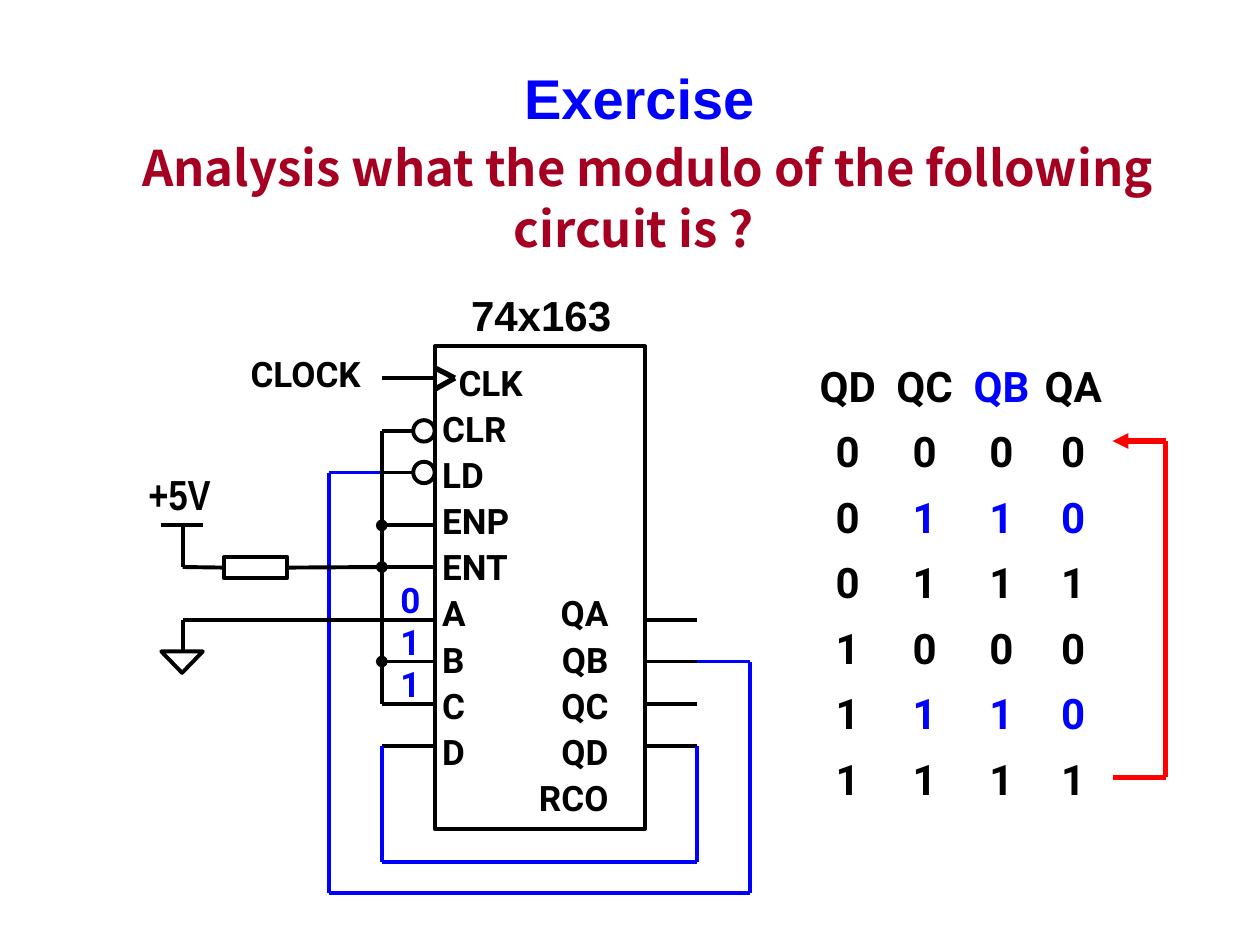
from copy import deepcopy
from dataclasses import dataclass
from itertools import pairwise

from lxml.etree import SubElement
from pptx import Presentation
from pptx.dml.color import RGBColor as RGB
from pptx.enum.shapes import MSO_CONNECTOR as Link, MSO_SHAPE as Preset
from pptx.enum.text import MSO_ANCHOR as Anchor, MSO_AUTO_SIZE as AutoSize, PP_ALIGN as Align
from pptx.oxml.ns import qn
from pptx.util import Inches, Pt


@dataclass(frozen=True)
class Theme:
    ink: RGB = RGB(0, 0, 0)
    blue: RGB = RGB(0, 0, 255)
    red: RGB = RGB(255, 0, 0)
    crimson: RGB = RGB(0xA5, 0x00, 0x21)
    sans: str = "Arial"
    narrow: str = "Arial Narrow"
    label: str = "Roboto"
    question: str = "Noto Sans CJK JP"
    title_size: int = 32
    question_size: int = 28
    large: int = 24
    small: int = 20
    thin: float = 2.25
    thick: float = 3


THEME = Theme()


@dataclass(frozen=True)
class Wire:
    """A run of straight segments, with an optional end mark on the last."""
    points: tuple
    color: RGB = THEME.ink
    width: float = THEME.thin
    end: str = ""


@dataclass(frozen=True)
class Label:
    box: tuple
    lines: tuple
    size: int
    font: str = THEME.label
    color: RGB = THEME.ink


def add_run(paragraph, text: str, size: int, font: str, color: RGB):
    run = paragraph.add_run()
    run.text = text
    run.font.size, run.font.name, run.font.bold = Pt(size), font, True
    run.font.color.rgb = color
    return run


def add_line(frame, index: int):
    return frame.paragraphs[0] if index == 0 else frame.add_paragraph()


def add_tabs(paragraph, stops: tuple, align: str) -> None:
    tabs = SubElement(paragraph._p.get_or_add_pPr(), qn("a:tabLst"))
    for stop in stops:
        SubElement(tabs, qn("a:tab"), pos=str(Inches(stop)), algn=align)


def draw_outline(slide, preset, box: tuple):
    outline = slide.shapes.add_shape(preset, *map(Inches, box))
    outline.shadow.inherit = False
    outline.fill.background()
    outline.line.color.rgb, outline.line.width = THEME.ink, Pt(THEME.thin)
    return outline


def draw_wire(slide, wire: Wire) -> list:
    segments = []
    for start, stop in pairwise(wire.points):
        segment = slide.shapes.add_connector(Link.STRAIGHT, *map(Inches, start + stop))
        segment.line.color.rgb, segment.line.width = wire.color, Pt(wire.width)
        segments.append(segment)
    if wire.end:
        SubElement(segments[-1].line._get_or_add_ln(), qn("a:tailEnd"), type=wire.end)
    for segment in segments:
        SubElement(segment._element.spPr, qn("a:effectLst"))
    return segments


def draw_label(slide, label: Label) -> None:
    frame = slide.shapes.add_textbox(*map(Inches, label.box)).text_frame
    frame.word_wrap = False
    for index, text in enumerate(label.lines):
        add_run(add_line(frame, index), text, label.size, label.font, label.color)


def write_title(slide) -> None:
    title = slide.shapes.title
    title.left, title.top, title.width, title.height = map(Inches, (0.43, 0.99, 9.29, 1.1))
    frame = title.text_frame
    frame.word_wrap, frame.auto_size = True, AutoSize.NONE
    frame.vertical_anchor = Anchor.BOTTOM
    heading = frame.paragraphs[0]
    heading.alignment = Align.CENTER
    first = add_run(heading, "Exercise", THEME.title_size, THEME.sans, THEME.blue)
    heading.add_line_break()
    # The break takes the type size of the word before it
    heading._p.findall(qn("a:br"))[0].append(deepcopy(first._r.rPr))
    add_run(heading, " ", THEME.title_size, THEME.sans, THEME.blue)
    add_run(heading, "Analysis what the modulo of the following circuit is ? ",
            THEME.question_size, THEME.question, THEME.crimson)


def draw_chip(slide) -> None:
    frame = draw_outline(slide, Preset.RECTANGLE, (3.45, 2.75, 1.67, 3.83)).text_frame
    frame.word_wrap, frame.vertical_anchor = True, Anchor.MIDDLE
    frame.margin_left = Inches(0.06)
    pins = ("CLK", "CLR", "LD", "ENP", "ENT", "A\tQA", "B\tQB", "C\tQC", "D\tQD", "\tRCO")
    for index, pin in enumerate(pins):
        row = add_line(frame, index)
        add_tabs(row, (1.32,), "r")
        row.alignment, row.line_spacing = Align.LEFT, 1.1
        if pin == "CLK":
            row._p.get_or_add_pPr().set("marL", str(Inches(0.13)))
        add_run(row, pin, THEME.small, THEME.label, THEME.ink)


def write_states(slide) -> None:
    """Counting sequence; loaded values are blue."""
    loaded = {1, 2, 3}
    rows = ((("QD", "QC", "QB", "QA"), {2}), ("0000", set()), ("0110", loaded),
            ("0111", set()), ("1000", set()), ("1110", loaded), ("1111", set()))
    frame = slide.shapes.add_textbox(*map(Inches, (6.26, 2.69, 2.74, 3.73))).text_frame
    frame.word_wrap = True
    for index, (cells, blue_columns) in enumerate(rows):
        row = add_line(frame, index)
        add_tabs(row, (0.37, 0.98, 1.59, 2.16), "ctr")
        row.line_spacing = 1.3
        for column, cell in enumerate(cells):
            color = THEME.blue if column in blue_columns else THEME.ink
            add_run(row, "\t" + cell, THEME.large, THEME.label, color)


# Circuit grid
BUS, CHIP_LEFT, CHIP_RIGHT, OUT = 3.03, 3.45, 5.11, 5.53
SUPPLY, BUBBLE = 1.45, 0.17
CLK, CLR, LD, ENP, ENT = 3, 3.42, 3.75, 4.17, 4.5
A, B, C, D = DATA_PINS = (4.92, 5.25, 5.59, 5.92)

WIRES = (
    # Pin leads
    *(Wire(((BUS, y), (CHIP_LEFT - BUBBLE, y))) for y in (CLR, LD)),
    *(Wire(((BUS, y), (CHIP_LEFT, y))) for y in (CLK, ENP, ENT, *DATA_PINS)),
    *(Wire(((CHIP_RIGHT, y), (OUT, y))) for y in DATA_PINS),
    # Clock edge mark
    Wire(((CHIP_LEFT, 2.92), (3.61, CLK), (CHIP_LEFT, 3.09)), width=THEME.thick),
    # Feedback from QD to D and from QB to LD
    Wire(((OUT, D), (OUT, 6.84), (BUS, 6.84), (BUS, D)), THEME.blue),
    Wire(((OUT, B), (5.95, B), (5.95, 7.09), (2.61, 7.09), (2.61, LD), (BUS, LD)), THEME.blue),
    # High bus with its junction dots
    *(Wire(((BUS, top), (BUS, bottom)), end="oval")
      for top, bottom in pairwise((CLR, ENP, ENT, B))),
    Wire(((BUS, B), (BUS, C))),
    # Supply bar and ground lead
    Wire(((1.28, ENP), (1.61, ENP))),
    Wire(((BUS, A), (SUPPLY, A), (SUPPLY, 5.17))),
    # Return to the first state
    Wire(((8.83, 6.17), (9.25, 6.17), (9.25, 3.5), (8.83, 3.5)), THEME.red, THEME.thick, "triangle"),
)

LABELS = (
    Label((3.64, 2.25, 1.32, 0.5), ("74x163",), THEME.large, THEME.sans),
    Label((3.08, 4.54, 0.38, 1.1), ("0", "1", "1"), THEME.small, color=THEME.blue),
    Label((1.08, 3.67, 0.7, 0.5), ("+5V",), THEME.large, THEME.narrow),
    Label((1.89, 2.75, 1.14, 0.43), ("CLOCK",), THEME.small),
)


def main() -> None:
    deck = Presentation()
    deck.slide_width, deck.slide_height = Inches(10), Inches(7.5)
    slide = deck.slides.add_slide(deck.slide_layouts[5])
    write_title(slide)

    # Chip with its inverted inputs
    draw_chip(slide)
    for y in (CLR, LD):
        draw_outline(slide, Preset.OVAL, (CHIP_LEFT - BUBBLE, y - BUBBLE / 2, BUBBLE, BUBBLE))

    for wire in WIRES:
        draw_wire(slide, wire)

    # Pull-up resistor between supply and bus
    resistor = draw_outline(slide, Preset.RECTANGLE, (1.78, 4.42, 0.5, 0.17))
    supply_lead = draw_wire(slide, Wire(((SUPPLY, ENP), (SUPPLY, ENT), (1.78, ENT))))
    supply_lead[-1].end_connect(resistor, 1)
    bus_lead = draw_wire(slide, Wire(((2.28, ENT), (BUS, ENT))))
    bus_lead[0].begin_connect(resistor, 3)

    # Ground symbol points down
    ground = draw_outline(slide, Preset.ISOSCELES_TRIANGLE, (1.28, 5.17, 0.33, 0.17))
    ground.rotation = 180

    for label in LABELS:
        draw_label(slide, label)
    write_states(slide)
    deck.save("out.pptx")


if __name__ == "__main__":
    main()
